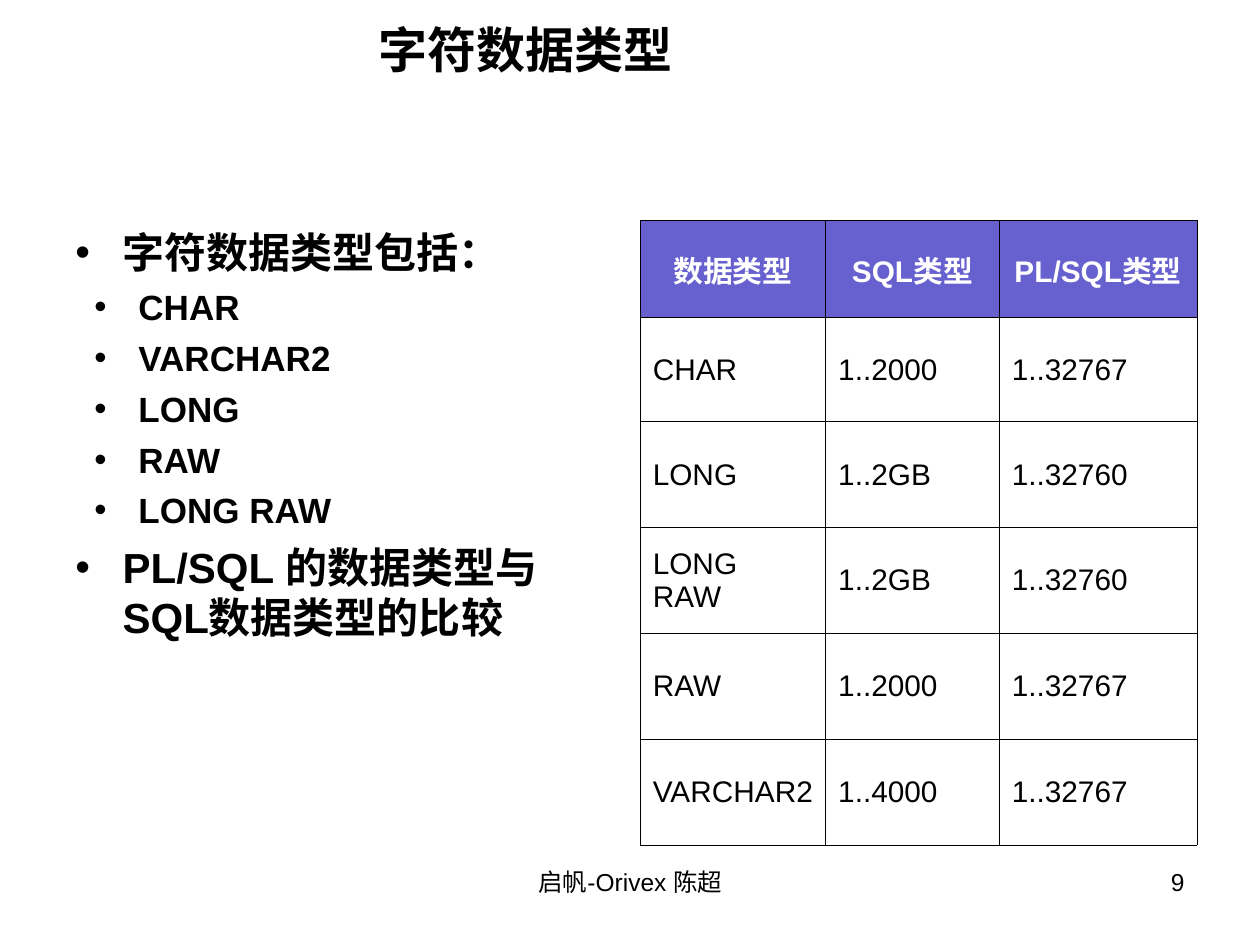
from lxml import etree
from pptx import Presentation
from pptx.dml.color import RGBColor
from pptx.enum.text import MSO_ANCHOR, PP_ALIGN
from pptx.oxml.ns import qn
from pptx.util import Pt

BLACK = RGBColor(0x00, 0x00, 0x00)
WHITE = RGBColor(0xFF, 0xFF, 0xFF)
VIOLET = RGBColor(0x67, 0x60, 0xCF)
LEFT, CENTER, RIGHT = PP_ALIGN.LEFT, PP_ALIGN.CENTER, PP_ALIGN.RIGHT
MIDDLE = MSO_ANCHOR.MIDDLE
FONT = "Arial"

TITLE = "字符数据类型"
POINTS = [
    (0, "字符数据类型包括："),
    (1, "CHAR"),
    (1, "VARCHAR2"),
    (1, "LONG"),
    (1, "RAW"),
    (1, "LONG RAW"),
    (0, "PL/SQL 的数据类型与 SQL数据类型的比较"),
]
# Per level: size, space before, left margin, indent
LEVELS = [(24, 6, 27, -27), (20, 5, 36, -25.2)]
ROWS = [
    ("数据类型", "SQL类型", "PL/SQL类型"),
    ("CHAR", "1..2000", "1..32767"),
    ("LONG", "1..2GB", "1..32760"),
    ("LONG RAW", "1..2GB", "1..32760"),
    ("RAW", "1..2000", "1..32767"),
    ("VARCHAR2", "1..4000", "1..32767"),
]
WIDTHS = [106, 99.2, 113]
HEIGHTS = [55.5, 59.5] + [60.5] * 4


def write(para, text, size, bold=False, color=BLACK, align=LEFT, before=0):
    para.alignment = align
    para.space_before = Pt(before)
    run = para.add_run()
    run.text = text
    look = {"name": FONT, "size": Pt(size), "bold": bold}
    for key, value in look.items():
        setattr(run.font, key, value)
    run.font.color.rgb = color


def add_box(slide, box):
    frame = slide.shapes.add_textbox(*map(Pt, box)).text_frame
    frame.word_wrap = True
    return frame


def add_title(slide, box):
    title = slide.shapes.title
    for key, value in zip(("left", "top", "width", "height"), box):
        setattr(title, key, Pt(value))
    title.text_frame.vertical_anchor = MIDDLE
    write(title.text_frame.paragraphs[0], TITLE, 28, True, align=CENTER)


def add_bullet(para, margin, indent):
    props = para._p.get_or_add_pPr()
    props.set("marL", str(Pt(margin)))
    props.set("indent", str(Pt(indent)))
    etree.SubElement(props, qn("a:buFont"), typeface=FONT)
    etree.SubElement(props, qn("a:buChar"), char="•")


def add_points(slide, box):
    frame = add_box(slide, box)
    for i, (level, text) in enumerate(POINTS):
        para = frame.add_paragraph() if i else frame.paragraphs[0]
        size, before, margin, indent = LEVELS[level]
        para.level = level
        write(para, text, size, True, before=before)
        add_bullet(para, margin, indent)


def add_edges(cell):
    props = cell._tc.get_or_add_tcPr()
    for i, side in enumerate(("lnL", "lnR", "lnT", "lnB")):
        line = etree.Element(qn("a:" + side), w=str(Pt(0.45)))
        fill = etree.SubElement(line, qn("a:solidFill"))
        etree.SubElement(fill, qn("a:srgbClr"), val=str(BLACK))
        props.insert(i, line)


def add_grid(slide, box):
    table = slide.shapes.add_table(len(ROWS), len(WIDTHS), *map(Pt, box)).table
    table.first_row = table.horz_banding = False
    for col, width in zip(table.columns, WIDTHS):
        col.width = Pt(width)
    for row, height in zip(table.rows, HEIGHTS):
        row.height = Pt(height)
    for r, texts in enumerate(ROWS):
        head = r == 0
        for c, text in enumerate(texts):
            cell = table.cell(r, c)
            cell.vertical_anchor = MIDDLE
            if head:
                cell.fill.solid()
                cell.fill.fore_color.rgb = VIOLET
            else:
                cell.fill.background()
            write(cell.text_frame.paragraphs[0], text, 17, head,
                  WHITE if head else BLACK, CENTER if head else LEFT, 4.2)
            add_edges(cell)


def add_foot(slide, box, text, align):
    write(add_box(slide, box).paragraphs[0], text, 14, align=align)


def main():
    deck = Presentation()
    deck.slide_width, deck.slide_height = Pt(720), Pt(540)
    slide = deck.slides.add_slide(deck.slide_layouts[5])
    add_title(slide, (-14.4, -15.8, 629.3, 87.1))
    add_points(slide, (36, 126, 318.2, 356.4))
    add_grid(slide, (365.8, 126, 318.2, 356.4))
    # Footer and page number
    add_foot(slide, (246.2, 491.8, 228.2, 37.4), "启帆-Orivex 陈超", CENTER)
    add_foot(slide, (516.2, 491.8, 167.8, 37.4), "9", RIGHT)
    deck.save("out.pptx")


if __name__ == "__main__":
    main()
